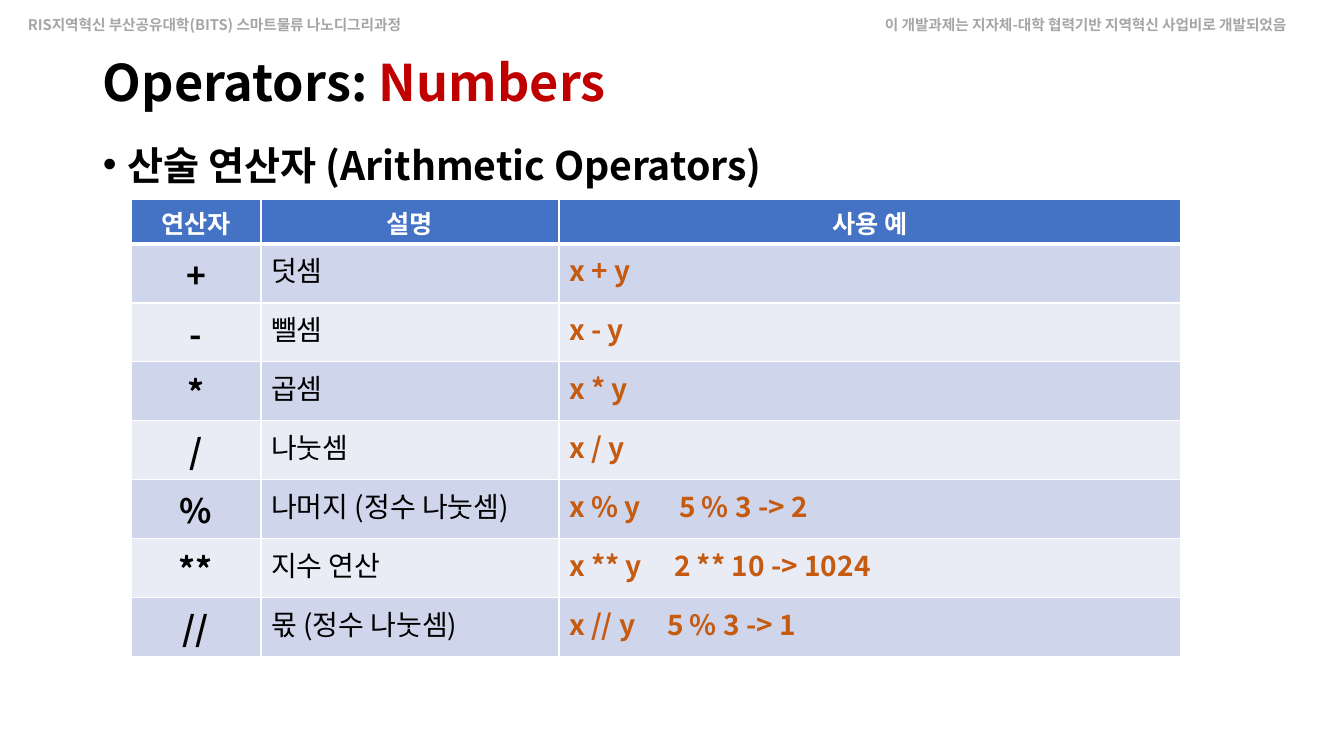
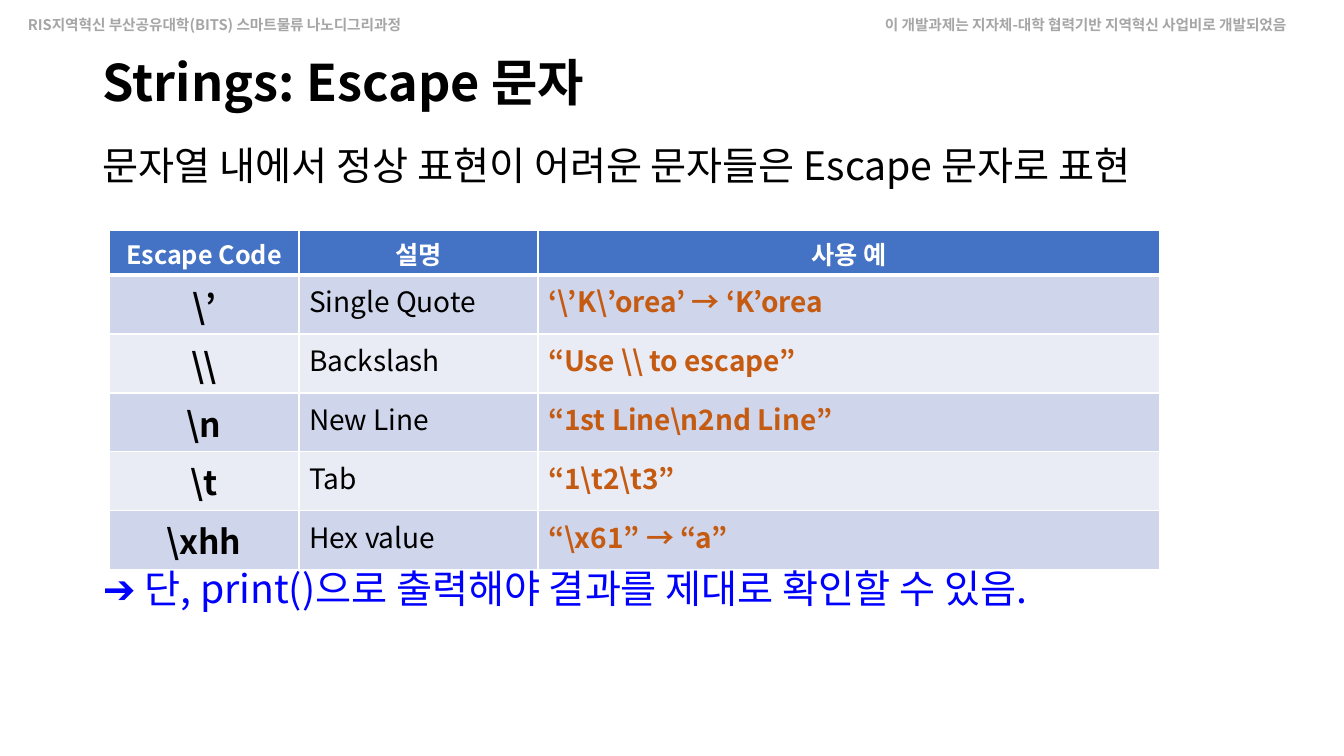
from lxml import etree
from pptx import Presentation
from pptx.dml.color import RGBColor
from pptx.enum.text import MSO_ANCHOR as Anchor, PP_ALIGN as Align
from pptx.oxml.ns import qn
from pptx.util import Emu, Pt

BLACK = RGBColor(0x00, 0x00, 0x00)
WHITE = RGBColor(0xFF, 0xFF, 0xFF)
GREY = RGBColor(0xA6, 0xA6, 0xA6)
RED = RGBColor(0xC0, 0x00, 0x00)
BLUE = RGBColor(0x00, 0x00, 0xFF)
ORANGE = RGBColor(0xC5, 0x5A, 0x11)
HEADER_FILL = RGBColor(0x44, 0x72, 0xC4)
ROW_FILLS = (RGBColor(0xCF, 0xD5, 0xEA), RGBColor(0xE9, 0xEB, 0xF5))

FONT = "Noto Sans CJK KR"
PROGRAM = "RIS지역혁신 부산공유대학(BITS) 스마트물류 나노디그리과정"
FUNDING = "이 개발과제는 지자체-대학 협력기반 지역혁신 사업비로 개발되었음"


def px(length):
    return Emu(round(length * 914400 / 100.8))


class Deck:
    MARGIN = 93
    HEADER_HEIGHT = 45
    ROW_HEIGHT = 59

    def __init__(self):
        self.prs = Presentation()
        self.prs.slide_width, self.prs.slide_height = px(1344), px(756)
        self.slide = None

    def new_slide(self, *title_runs):
        self.slide = self.prs.slides.add_slide(self.prs.slide_layouts[6])
        self.text(18, 11, 427, 28, [(PROGRAM, GREY)], 10.5, wrap=False)
        self.text(875, 11, 469, 28, [(FUNDING, GREY)], 10.5)
        title = self.text(self.MARGIN, 40, 1159, 91, title_runs, 36, anchor=Anchor.MIDDLE)
        title.line_spacing = 0.9

    def run(self, paragraph, text, size, color, bold):
        run = paragraph.add_run()
        run.text = text
        font = run.font
        font.size, font.bold, font.name = Pt(size), bold, FONT
        font.color.rgb = color
        etree.SubElement(run._r.get_or_add_rPr(), qn("a:ea"), typeface=FONT)

    def text(self, left, top, width, height, runs, size, bold=True,
             wrap=True, anchor=Anchor.TOP, bullet=False):
        box = self.slide.shapes.add_textbox(px(left), px(top), px(width), px(height))
        frame = box.text_frame
        frame.word_wrap, frame.vertical_anchor = wrap, anchor
        paragraph = frame.paragraphs[0]
        if bullet:
            props = paragraph._p.get_or_add_pPr()
            props.set("marL", str(px(25)))
            props.set("indent", str(-px(25)))
            etree.SubElement(props, qn("a:buFont"), typeface="Arial")
            etree.SubElement(props, qn("a:buChar"), char="•")
        for words, color in runs:
            self.run(paragraph, words, size, color, bold)
        return paragraph

    def line(self, top, words, color=BLACK, bold=False, bullet=False):
        self.text(self.MARGIN, top, 1218, 67, [(words, color)], 28, bold, bullet=bullet)

    def cell(self, cell, text, fill, size, color, bold, align=Align.LEFT,
             anchor=Anchor.TOP, tab=None, bottom=1):
        props = cell._tc.get_or_add_tcPr()
        for side, width in (("L", 1), ("R", 1), ("T", 1), ("B", bottom)):
            edge = etree.SubElement(props, qn(f"a:ln{side}"), w=str(Pt(width)))
            paint = etree.SubElement(edge, qn("a:solidFill"))
            etree.SubElement(paint, qn("a:srgbClr"), val=str(WHITE))
        cell.fill.solid()
        cell.fill.fore_color.rgb = fill
        cell.vertical_anchor = anchor
        paragraph = cell.text_frame.paragraphs[0]
        paragraph.alignment = align
        if tab:
            stops = etree.SubElement(paragraph._p.get_or_add_pPr(), qn("a:tabLst"))
            etree.SubElement(stops, qn("a:tab"), pos=str(px(tab)), algn="l")
        self.run(paragraph, text, size, color, bold)

    def table(self, left, top, widths, headings, rows, tabs=None):
        height = self.HEADER_HEIGHT + self.ROW_HEIGHT * len(rows)
        table = self.slide.shapes.add_table(
            len(rows) + 1, len(widths), px(left), px(top), px(sum(widths)), px(height)).table
        for column, width in zip(table.columns, widths):
            column.width = px(width)
        table.rows[0].height = px(self.HEADER_HEIGHT)
        for index, heading in enumerate(headings):
            self.cell(table.cell(0, index), heading, HEADER_FILL, 18, WHITE, True,
                      Align.CENTER, bottom=3)
        for index, (symbol, meaning, example) in enumerate(rows, 1):
            table.rows[index].height = px(self.ROW_HEIGHT)
            fill = ROW_FILLS[(index - 1) % 2]
            self.cell(table.cell(index, 0), symbol, fill, 24, BLACK, True,
                      Align.CENTER, Anchor.MIDDLE)
            self.cell(table.cell(index, 1), meaning, fill, 20, BLACK, False)
            self.cell(table.cell(index, 2), example, fill, 20, ORANGE, True,
                      tab=(tabs or {}).get(symbol))


def main():
    deck = Deck()

    deck.new_slide(("Operators: ", BLACK), ("Numbers", RED))
    deck.line(136, "산술 연산자 (Arithmetic Operators)", bold=True, bullet=True)
    deck.table(131, 199, (130, 298, 622), ("연산자", "설명", "사용 예"), (
        ("+", "덧셈", "x + y"),
        ("-", "뺄셈", "x - y"),
        ("*", "곱셈", "x * y"),
        ("/", "나눗셈", "x / y"),
        ("%", "나머지 (정수 나눗셈)", "x % y\t5 % 3 -> 2"),
        ("**", "지수 연산", "x ** y\t2 ** 10 -> 1024"),
        ("//", "몫 (정수 나눗셈)", "x // y\t5 % 3 -> 1"),
    ), {"%": 110, "**": 105, "//": 98})

    deck.new_slide(("Strings: Escape 문자", BLACK))
    deck.line(136, "문자열 내에서 정상 표현이 어려운 문자들은 Escape 문자로 표현")
    deck.table(109, 230, (190, 239, 622), ("Escape Code", "설명", "사용 예"), (
        (r"\’", "Single Quote", r"‘\’K\’orea’ → ‘K’orea"),
        (r"\\", "Backslash", r"“Use \\ to escape”"),
        (r"\n", "New Line", r"“1st Line\n2nd Line”"),
        (r"\t", "Tab", r"“1\t2\t3”"),
        (r"\xhh", "Hex value", r"“\x61” → “a”"),
    ))
    deck.line(559, "➔ 단, print()으로 출력해야 결과를 제대로 확인할 수 있음.", BLUE)

    deck.prs.save("out.pptx")


if __name__ == "__main__":
    main()
